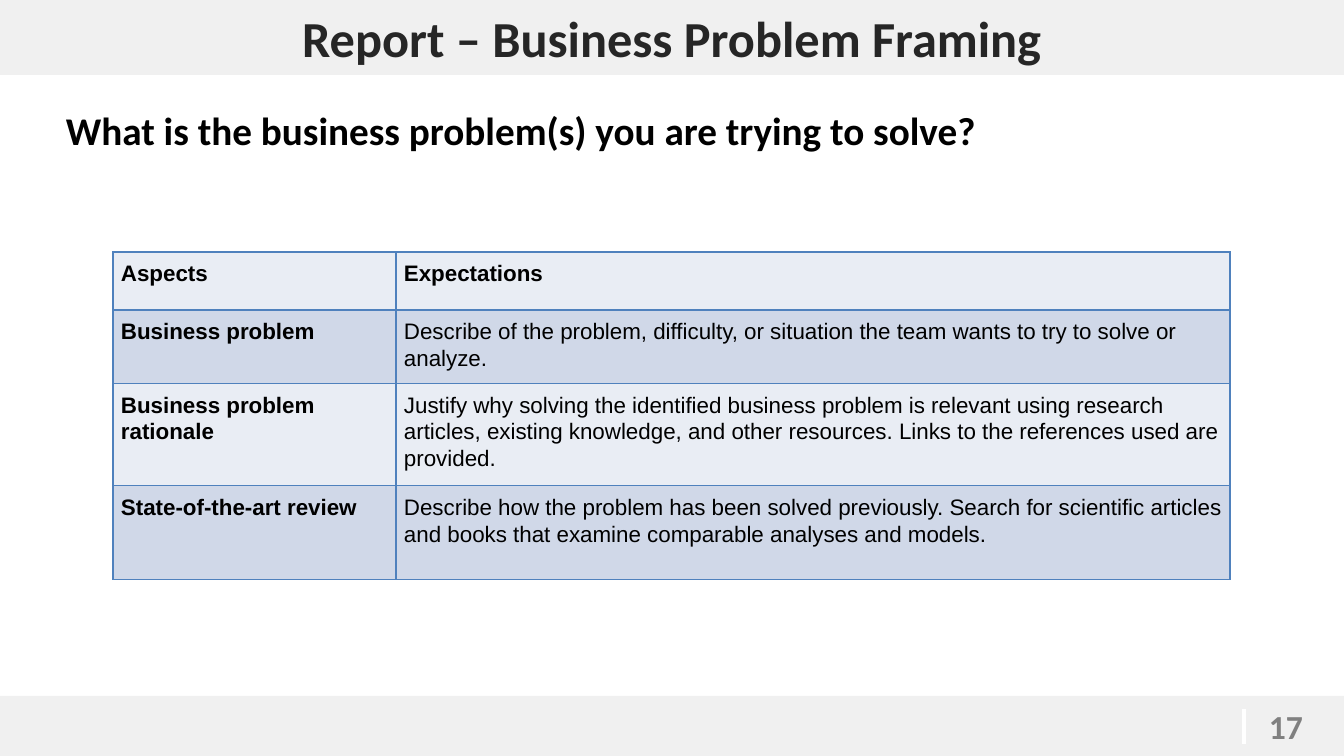
from lxml.etree import SubElement
from pptx import Presentation
from pptx.dml.color import RGBColor
from pptx.enum.shapes import MSO_CONNECTOR as Connector, MSO_SHAPE as Shape
from pptx.enum.text import MSO_ANCHOR as Anchor, PP_ALIGN as Align
from pptx.oxml.ns import qn
from pptx.util import Pt

TITLE = "Report – Business Problem Framing"
QUESTION = "What is the business problem(s) you are trying to solve?"
PAGE_NUMBER = "17"
ASPECTS = [
    ("Aspects", "Expectations"),
    ("Business problem",
     "Describe of the problem, difficulty, or situation the team wants to try to solve or analyze."),
    ("Business problem rationale",
     "Justify why solving the identified business problem is relevant using research articles, "
     "existing knowledge, and other resources. Links to the references used are provided."),
    ("State-of-the-art review",
     "Describe how the problem has been solved previously. Search for scientific articles and "
     "books that examine comparable analyses and models."),
]
COLUMN_WIDTHS = (283, 834)
ROW_HEIGHTS = (58, 58, 94, 94)
ROW_FILLS = ("E9EDF4", "D0D8E8")
BAND, GRID, WHITE = "F0F0F0", "4F81BD", "FFFFFF"
CELL_INSET = 8
WIDTH, HEIGHT = 1344, 756
SCALE = 12192000 / WIDTH


def px(length):
    return round(length * SCALE)


def box(*lengths):
    return [px(length) for length in lengths]


def color(code):
    return RGBColor.from_string(code)


def write(frame, text, *, size, ink="000000", font="Calibri", bold=True,
          align=Align.LEFT, line=None, before=None, after=None):
    frame.word_wrap = True
    paragraph = frame.paragraphs[0]
    paragraph.alignment = align
    paragraph.line_spacing = line
    paragraph.space_before = before
    paragraph.space_after = after
    run = paragraph.add_run()
    run.text = text
    run.font.name = font
    run.font.size = Pt(size)
    run.font.bold = bold
    run.font.color.rgb = color(ink)


def add_band(slide, top, height):
    band = slide.shapes.add_shape(Shape.RECTANGLE, *box(0, top, WIDTH, height))
    band.shadow.inherit = False
    band.fill.solid()
    band.fill.fore_color.rgb = color(BAND)
    band.line.fill.background()
    return band


def add_borders(cell):
    properties = cell._tc.get_or_add_tcPr()
    for position, side in enumerate(("lnL", "lnR", "lnT", "lnB")):
        border = properties.makeelement(qn(f"a:{side}"), {"w": str(Pt(1))})
        fill = SubElement(border, qn("a:solidFill"))
        SubElement(fill, qn("a:srgbClr"), val=GRID)
        properties.insert(position, border)


def add_aspects(slide):
    frame = slide.shapes.add_table(
        len(ASPECTS), len(COLUMN_WIDTHS),
        *box(113, 252, sum(COLUMN_WIDTHS), sum(ROW_HEIGHTS)))
    table = frame.table
    for column, width in zip(table.columns, COLUMN_WIDTHS):
        column.width = px(width)
    for row_index, (row, height) in enumerate(zip(table.rows, ROW_HEIGHTS)):
        row.height = px(height)
        for column_index, cell in enumerate(row.cells):
            cell.margin_left = cell.margin_right = px(CELL_INSET)
            cell.margin_top = cell.margin_bottom = px(CELL_INSET)
            cell.fill.solid()
            cell.fill.fore_color.rgb = color(ROW_FILLS[row_index % 2])
            add_borders(cell)
            write(cell.text_frame, ASPECTS[row_index][column_index], size=16,
                  font="Arial", bold=row_index == 0 or column_index == 0,
                  line=1.07, after=Pt(8))


def main():
    deck = Presentation()
    deck.slide_width, deck.slide_height = box(WIDTH, HEIGHT)
    slide = deck.slides.add_slide(deck.slide_layouts[6])

    add_band(slide, 696, 60)
    number = slide.shapes.add_textbox(*box(1259, 701, 93, 50))
    write(number.text_frame, PAGE_NUMBER, size=24, ink="808080")
    divider = slide.shapes.add_connector(Connector.STRAIGHT, *box(1244, 709, 1244, 744))
    divider.line.color.rgb = color(WHITE)
    divider.line.width = Pt(3)
    SubElement(divider._element.spPr, qn("a:effectLst"))

    question = slide.shapes.add_textbox(*box(56, 101, 1210, 126))
    write(question.text_frame, QUESTION, size=28, before=Pt(6))
    title = add_band(slide, 0, 75)
    title.text_frame.vertical_anchor = Anchor.MIDDLE
    write(title.text_frame, TITLE, size=36, ink="262626", align=Align.CENTER)

    add_aspects(slide)
    deck.save("out.pptx")


if __name__ == "__main__":
    main()
